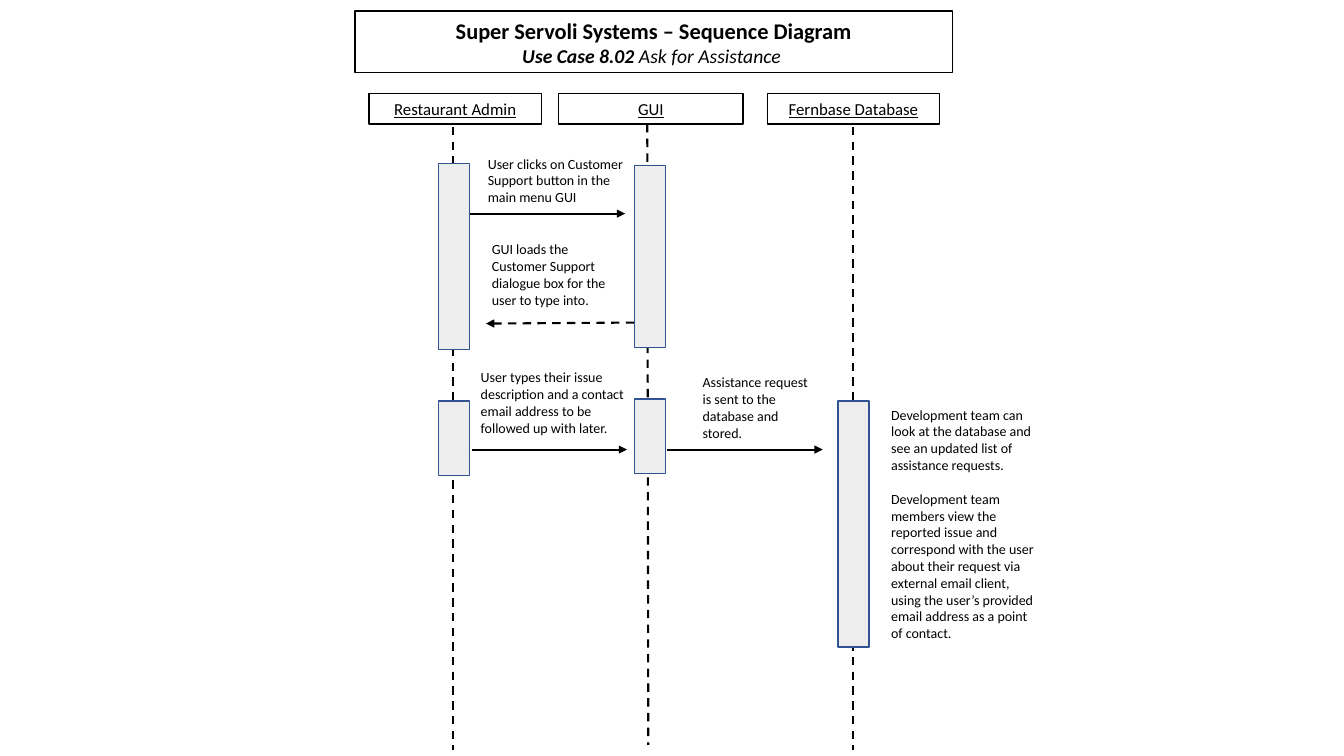
"""Build the Ask for Assistance sequence diagram slide."""
import pptx
import pptx.dml.color
import pptx.enum.dml
import pptx.enum.shapes
import pptx.enum.text
import pptx.oxml
import pptx.oxml.ns
import pptx.util

Inches, Pt = pptx.util.Inches, pptx.util.Pt
COLORS = {"ink": "000000", "bar": "EDEDED", "bar_line": "31538F"}
FONT = "Calibri"
BAR_WIDTH = 0.31
HEADER_TOP, HEADER_HEIGHT = 0.93, 0.3

TITLE_BOX = (3.52, 0.11, 5.93, 0.61)
TITLE = [
    [("Super Servoli Systems – Sequence Diagram", 16, True, False)],
    [("Use Case 8.02", 14, True, True), (" Ask for Assistance ", 14, False, True)],
]
PARTICIPANTS = [
    {"name": "Restaurant Admin", "left": 3.66, "width": 1.71,
     "lifeline": (4.49, 1.26, 4.49, 7.44),
     "bar_left": 4.35, "bars": [(1.62, 1.85), (3.98, 0.74)]},
    {"name": "GUI", "left": 5.54, "width": 1.83,
     "lifeline": (6.42, 1.23, 6.43, 7.39),
     "bar_left": 6.29, "bars": [(1.64, 1.81), (3.96, 0.74)]},
    {"name": "Fernbase Database", "left": 7.61, "width": 1.71,
     "lifeline": (8.46, 1.26, 8.46, 7.44),
     "bar_left": 8.31, "bars": [(3.98, 2.44)]},
]
MESSAGES = [
    ((4.66, 2.12, 6.2, 2.12), False),
    ((6.29, 3.2, 4.82, 3.21), True),
    ((4.68, 4.46, 6.22, 4.46), False),
    ((6.62, 4.46, 8.16, 4.46), False),
]
NOTES = [
    ((4.74, 1.49, 1.56, 0.27), 0.05,
     ["User clicks on Customer Support button in the main menu GUI"]),
    ((4.78, 2.29, 1.4, 0.74), 0.1,
     ["GUI loads the Customer Support dialogue box for the user to type into."]),
    ((4.67, 3.61, 1.63, 0.27), 0.05,
     ["User types their issue description and a contact email address "
      "to be followed up with later."]),
    ((6.87, 3.61, 1.32, 0.61), 0.1,
     ["Assistance request is sent to the database and stored."]),
    ((8.74, 3.98, 1.63, 2.44), 0.05,
     ["Development team can look at the database and see an updated list "
      "of assistance requests.",
      "Development team members view the reported issue and correspond with "
      "the user about their request via external email client, using the "
      "user’s provided email address as a point of contact."]),
]


def rgb(name):
    """Return a palette colour."""
    return pptx.dml.color.RGBColor.from_string(COLORS[name])


def add_run(p, text, size, bold=False, italic=False, underline=False):
    """Add one styled run to a paragraph."""
    r = p.add_run()
    r.text = text
    r.font.name, r.font.size = FONT, Pt(size)
    r.font.bold, r.font.italic, r.font.underline = bold, italic, underline
    r.font.color.rgb = rgb("ink")


def add_box(s, box, line="ink", fill=None):
    """Add an outlined rectangle and return its centred first paragraph."""
    sp = s.shapes.add_shape(pptx.enum.shapes.MSO_SHAPE.RECTANGLE, *map(Inches, box))
    sp.shadow.inherit = False
    if fill:
        sp.fill.solid()
        sp.fill.fore_color.rgb = rgb(fill)
    else:
        sp.fill.background()
    sp.line.color.rgb = rgb(line)
    sp.line.width = Pt(1)
    sp.text_frame.vertical_anchor = pptx.enum.text.MSO_ANCHOR.MIDDLE
    p = sp.text_frame.paragraphs[0]
    p.alignment = pptx.enum.text.PP_ALIGN.CENTER
    return p


def add_line(s, ends, dashed=False, arrow=False):
    """Add a straight line, optionally dashed or with an arrowhead."""
    cn = s.shapes.add_connector(
        pptx.enum.shapes.MSO_CONNECTOR.STRAIGHT, *map(Inches, ends))
    cn.line.color.rgb = rgb("ink")
    cn.line.width = Pt(1.5)
    if dashed:
        cn.line.dash_style = pptx.enum.dml.MSO_LINE.DASH
    if arrow:
        ln = cn.line._get_or_add_ln()
        ln.append(pptx.oxml.parse_xml(
            f'<a:tailEnd {pptx.oxml.ns.nsdecls("a")} type="triangle"/>'))
    cn._element.spPr.append(pptx.oxml.parse_xml(
        f'<a:effectLst {pptx.oxml.ns.nsdecls("a")}/>'))


def add_note(s, box, inset, paragraphs):
    """Add a wrapped text box with one line of space between paragraphs."""
    tf = s.shapes.add_textbox(*map(Inches, box)).text_frame
    tf.word_wrap = True
    tf.margin_top = tf.margin_bottom = Inches(inset)
    for i, text in enumerate(paragraphs):
        p = tf.add_paragraph() if i else tf.paragraphs[0]
        if i:
            p.space_before = Pt(12)
        add_run(p, text, 10)


def main():
    """Lay out the diagram and save it."""
    prs = pptx.Presentation()
    prs.slide_width, prs.slide_height = Inches(13.33), Inches(7.5)
    s = prs.slides.add_slide(prs.slide_layouts[6])

    p = add_box(s, TITLE_BOX)
    for i, runs in enumerate(TITLE):
        if i:
            p.add_line_break()
        for run in runs:
            add_run(p, *run)

    for part in PARTICIPANTS:
        p = add_box(s, (part["left"], HEADER_TOP, part["width"], HEADER_HEIGHT))
        add_run(p, part["name"], 12, underline=True)
        add_line(s, part["lifeline"], dashed=True)
        for top, height in part["bars"]:
            add_box(s, (part["bar_left"], top, BAR_WIDTH, height), "bar_line", "bar")

    for ends, dashed in MESSAGES:
        add_line(s, ends, dashed, arrow=True)
    for note in NOTES:
        add_note(s, *note)
    prs.save("out.pptx")


if __name__ == "__main__":
    main()
